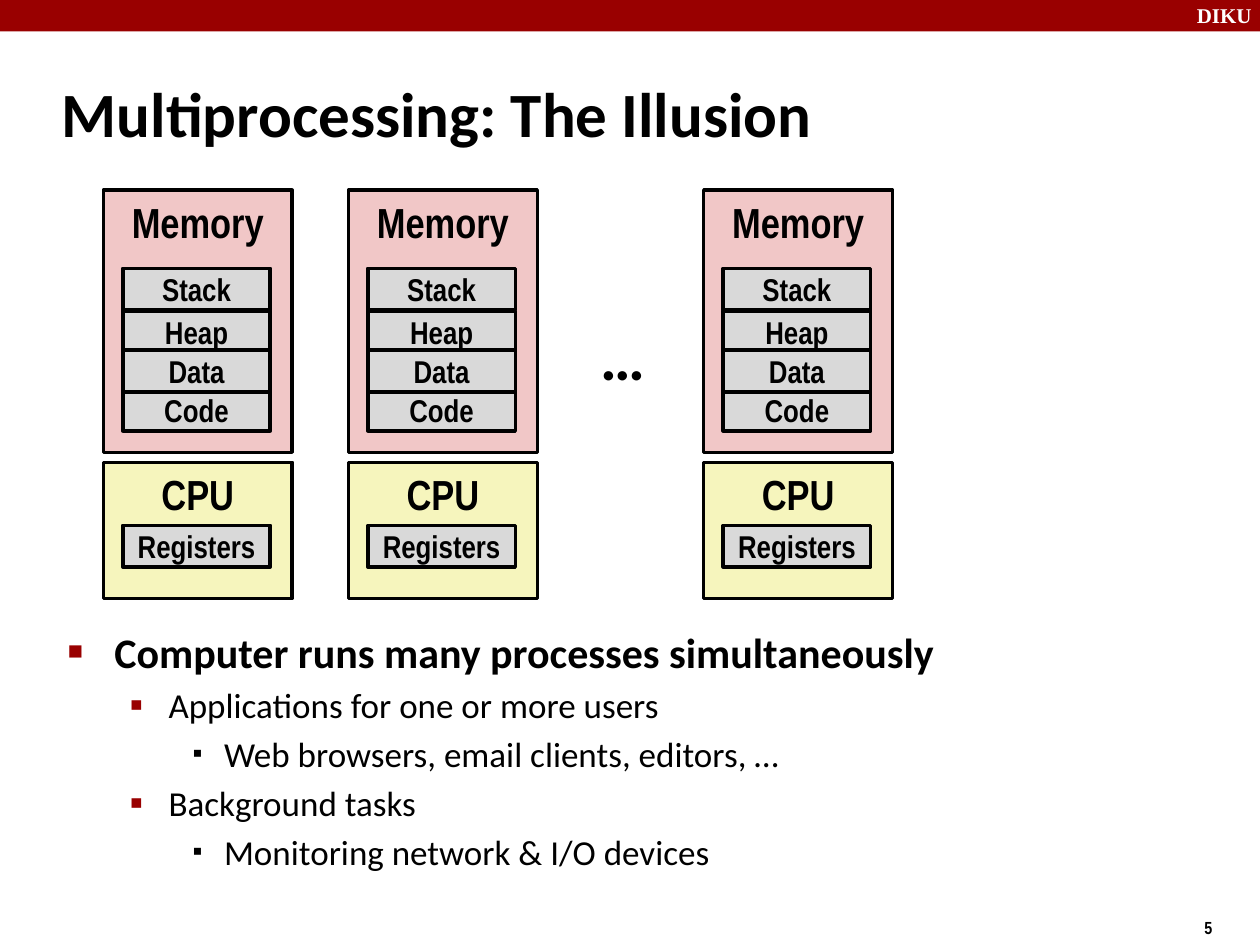
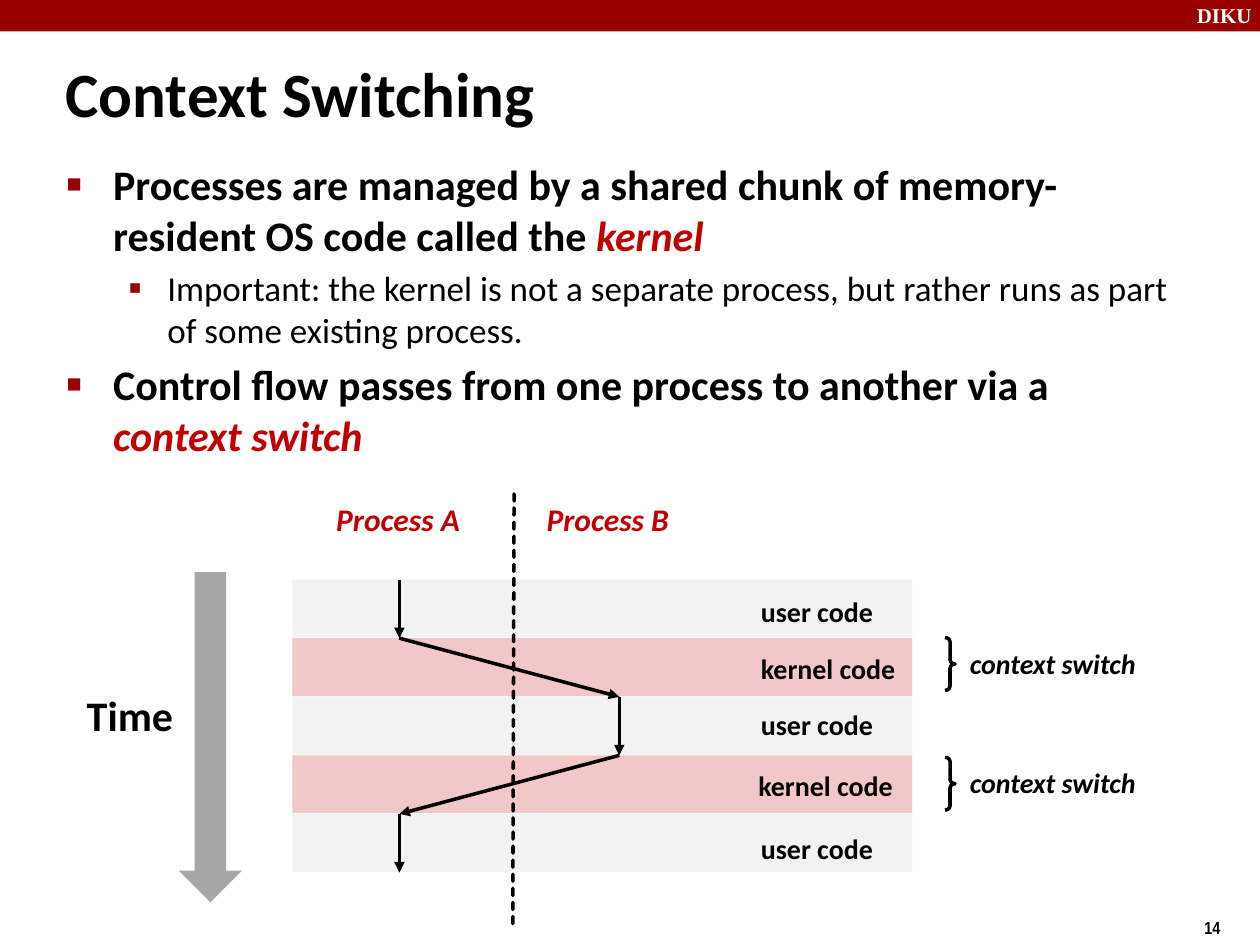
from itertools import pairwise

from lxml import etree
from pptx import Presentation
from pptx import util as u
from pptx.dml.color import RGBColor
from pptx.enum import dml, shapes, text
from pptx.oxml.ns import qn

COLORS = {
    "band": "990000", "ink": "000000", "paper": "FFFFFF", "accent": "C00000",
    "memory": "F1C7C7", "cpu": "F6F5BD", "cell": "D9D9D9",
    "user": "F2F2F2", "kernel": "F1C7C7", "time": "A6A6A6",
}
COLS, ROWS = 100, 75
WIDTH, HEIGHT = u.Inches(10), u.Inches(7.5)

BODY = {"name": "Calibri", "size": 24, "bold": True}
TITLE = BODY | {"size": 36}
CODE = BODY | {"size": 16}
SWITCH = CODE | {"italic": True}
PROCESS = BODY | {"size": 18, "italic": True, "color": "accent"}
TERM = {"italic": True, "color": "accent"}
NARROW = {"name": "Arial Narrow", "size": 24, "bold": True}
CELL = NARROW | {"size": 18}
PAGE = NARROW | {"size": 10}
BRAND = {"name": "Times New Roman", "size": 12, "bold": True, "color": "paper"}

LEVELS = [
    {"left": 0.38, "hang": 0.37, "before": 4.8, "char": "■", "color": "band",
     "scale": 60, "font": BODY},
    {"left": 0.81, "hang": 0.31, "before": 4, "char": "▪", "color": "band",
     "scale": 110, "font": BODY | {"size": 20, "bold": False}},
    {"left": 1.25, "hang": 0.25, "before": 4, "char": "▪", "color": "ink",
     "scale": 80, "font": BODY | {"size": 20, "bold": False}},
]


def rgb(name):
    return RGBColor.from_string(COLORS[name])


def col(n):
    return round(WIDTH * n / COLS)


def row(n):
    return round(HEIGHT * n / ROWS)


def box(x, y, w, h):
    return col(x), row(y), col(w), row(h)


def set_all(target, values):
    for key, value in values.items():
        setattr(target, key, value)


def add_run(p, words, look):
    r = p.add_run()
    r.text = words
    values = dict(look)
    r.font.color.rgb = rgb(values.pop("color", "ink"))
    values["size"] = u.Pt(values["size"])
    set_all(r.font, values)


def add_title(s, words, area):
    sp = s.shapes.title
    set_all(sp, dict(zip(("left", "top", "width", "height"), box(*area))))
    tf = sp.text_frame
    set_all(tf, {"auto_size": text.MSO_AUTO_SIZE.NONE, "word_wrap": True,
                 "vertical_anchor": text.MSO_ANCHOR.MIDDLE})
    p = tf.paragraphs[0]
    p.alignment = text.PP_ALIGN.LEFT
    add_run(p, words, TITLE)


def add_label(s, words, area, look):
    tf = s.shapes.add_textbox(*box(*area)).text_frame
    set_all(tf, {"word_wrap": False,
                 "auto_size": text.MSO_AUTO_SIZE.SHAPE_TO_FIT_TEXT})
    add_run(tf.paragraphs[0], words, look)


def add_shape(s, kind, area, fill=None, line=None):
    sp = s.shapes.add_shape(kind, *box(*area))
    sp.shadow.inherit = False
    if fill:
        sp.fill.solid()
        sp.fill.fore_color.rgb = rgb(fill)
    else:
        sp.fill.background()
    if line:
        sp.line.color.rgb = rgb(line)
        sp.line.width = u.Pt(2)
    else:
        sp.line.fill.background()
    return sp


def add_rect(s, area, fill, line=None):
    return add_shape(s, shapes.MSO_SHAPE.RECTANGLE, area, fill, line)


def add_block(s, words, area, fill, look, anchor):
    sp = add_rect(s, area, fill, "ink")
    tf = sp.text_frame
    set_all(tf, {"word_wrap": True, "vertical_anchor": anchor})
    p = tf.paragraphs[0]
    p.alignment = text.PP_ALIGN.CENTER
    add_run(p, words, look)


def add_line(s, start, end, arrow=False, dash=None):
    cx = s.shapes.add_connector(
        shapes.MSO_CONNECTOR.STRAIGHT,
        col(start[0]), row(start[1]), col(end[0]), row(end[1]))
    cx.line.color.rgb = rgb("ink")
    set_all(cx.line, {"width": u.Pt(2), "dash_style": dash})
    ln = cx.line._get_or_add_ln()
    if dash:
        ln.set("cap", "rnd")
    if arrow:
        etree.SubElement(ln, qn("a:tailEnd"), type="triangle")
    etree.SubElement(cx._element.spPr, qn("a:effectLst"))


def add_bullet(p, level):
    pPr = p._p.get_or_add_pPr()
    pPr.set("marL", str(u.Inches(level["left"])))
    pPr.set("indent", str(-u.Inches(level["hang"])))
    color = etree.SubElement(pPr, qn("a:buClr"))
    etree.SubElement(color, qn("a:srgbClr"), val=COLORS[level["color"]])
    etree.SubElement(pPr, qn("a:buSzPct"), val=str(level["scale"] * 1000))
    etree.SubElement(pPr, qn("a:buFont"), typeface="Times New Roman")
    etree.SubElement(pPr, qn("a:buChar"), char=level["char"])


def add_bullets(s, area, items):
    tf = s.shapes.add_textbox(*box(*area)).text_frame
    tf.word_wrap = True
    for i, (depth, words, term) in enumerate(items):
        p = tf.add_paragraph() if i else tf.paragraphs[0]
        level = LEVELS[depth]
        add_bullet(p, level)
        p.space_before = u.Pt(level["before"] if i else 0)
        add_run(p, words, level["font"])
        if term:
            add_run(p, term, level["font"] | TERM)


def add_slide(prs, title, area, number):
    s = prs.slides.add_slide(prs.slide_layouts[5])
    add_rect(s, (0, 0, COLS, 2.5), "band")
    add_label(s, "DIKU", (94, -0.3, 6.7, 3), BRAND)
    add_label(s, number, (94.6, 72.3, 7.5, 2.7), PAGE)
    add_title(s, title, area)
    return s


def add_machine(s, x):
    top, middle = text.MSO_ANCHOR.TOP, text.MSO_ANCHOR.MIDDLE
    add_block(s, "CPU", (x, 36.7, 15, 10.8), "cpu", NARROW, top)
    add_block(s, "Memory", (x, 15.1, 15, 20.8), "memory", NARROW, top)
    cells = [("Registers", 41.7), ("Stack", 21.3), ("Heap", 24.7),
             ("Code", 30.9), ("Data", 27.8)]
    for words, y in cells:
        add_block(s, words, (x + 1.55, y, 11.7, 3.3), "cell", CELL, middle)


def multiprocessing_slide(prs):
    s = add_slide(prs, "Multiprocessing: The Illusion", (3.9, 4.8, 83, 8.3), "5")
    add_bullets(s, (4.3, 49.2, 86.4, 21.6), [
        (0, "Computer runs many processes simultaneously", ""),
        (1, "Applications for one or more users", ""),
        (2, "Web browsers, email clients, editors, …", ""),
        (1, "Background tasks", ""),
        (2, "Monitoring network & I/O devices", ""),
    ])
    for x in (8.2, 27.65, 55.85):
        add_machine(s, x)
    add_label(s, "…", (46.7, 24.7, 5.5, 7), TITLE)


def add_timeline(s):
    top, pitch = 46, 4.65
    label_spots = [(59.4, 46.7), (59.4, 51.2), (59.4, 55.7),
                   (59.2, 60.5), (59.4, 65.5)]
    for i, (x, y) in enumerate(label_spots):
        mode = "kernel" if i % 2 else "user"
        add_rect(s, (23.2, top + i * pitch, 49.2, 4.6), mode)
        add_label(s, f"{mode} code", (x, y, 13.5, 3.7), CODE)

    add_line(s, (40.8, 39.2), (40.7, 73.3), dash=dml.MSO_LINE.SQUARE_DOT)
    a, b = 31.7, 49.15
    stops = [(x, top + i * pitch) for i, x in enumerate((a, a, b, b, a, a))]
    for start, end in pairwise(stops):
        add_line(s, start, end, arrow=True)


def context_slide(prs):
    s = add_slide(prs, "Context Switching", (4.2, 4.2, 63.9, 6.3), "14")
    add_bullets(s, (4.2, 12.1, 90.7, 27.9), [
        (0, "Processes are managed by a shared chunk of memory-resident "
            "OS code called the ", "kernel"),
        (1, "Important: the kernel is not a separate process, but rather "
            "runs as part of some existing process.", ""),
        (0, "Control flow passes from one process to another via a ",
         "context switch"),
    ])
    add_timeline(s)
    for name, x in (("Process A", 25.7), ("Process B", 42.4)):
        add_label(s, name, (x, 39.2, 12.5, 4), PROCESS)
    for y in (50.6, 60.1):
        brace = add_shape(s, shapes.MSO_SHAPE.RIGHT_BRACE,
                          (75, y, 0.8, 4.2), line="ink")
        brace.adjustments[0] = 0.42
        add_label(s, "context switch", (76, y + 0.2, 16, 3.7), SWITCH)
    add_label(s, "Time", (5.9, 54.2, 9.6, 5), BODY)
    add_shape(s, shapes.MSO_SHAPE.DOWN_ARROW, (14.2, 45.4, 5, 26.2), "time")


def main():
    prs = Presentation()
    prs.slide_width, prs.slide_height = WIDTH, HEIGHT
    multiprocessing_slide(prs)
    context_slide(prs)
    prs.save("out.pptx")


if __name__ == "__main__":
    main()
